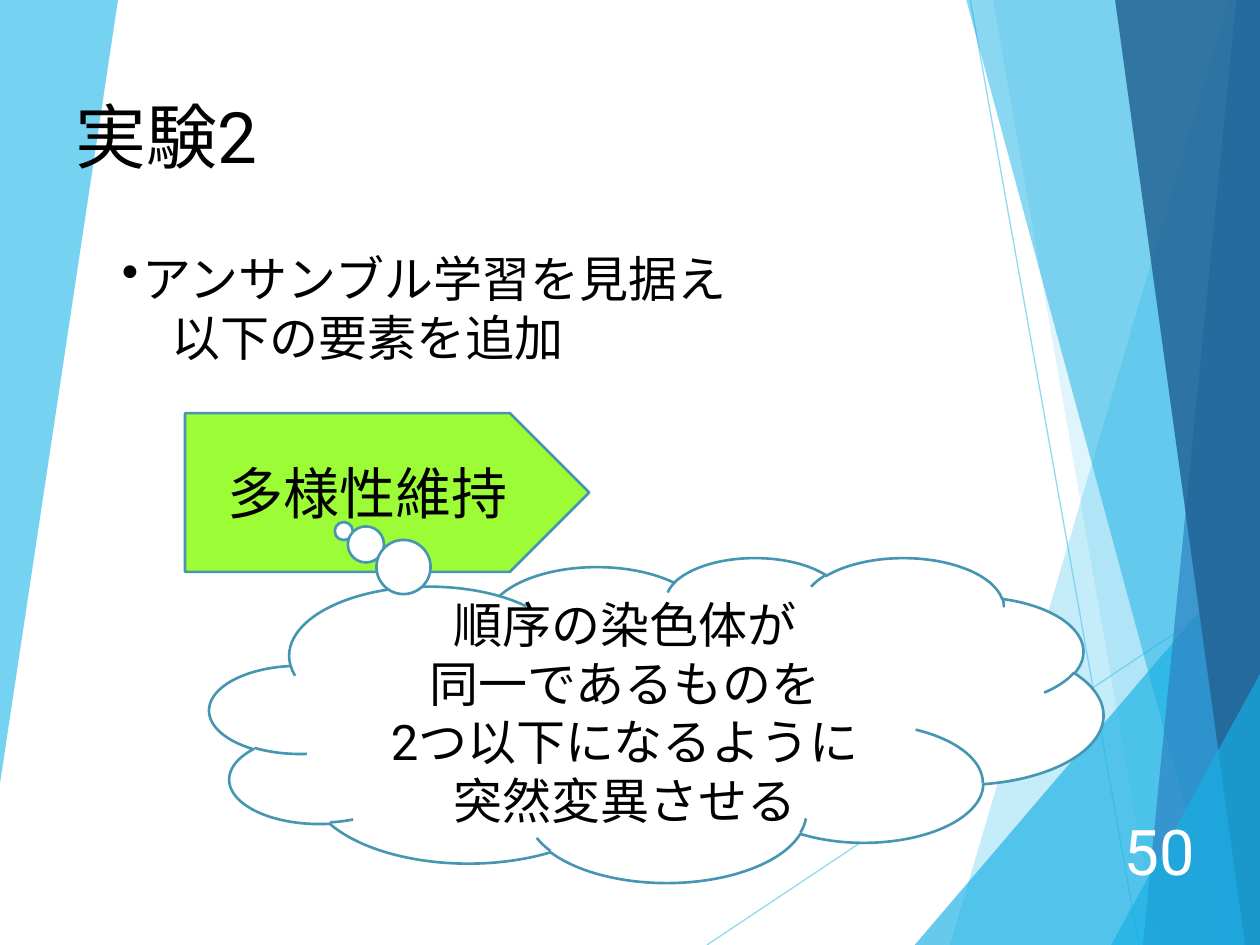
import dataclasses

import lxml.etree
import pptx
import pptx.dml.color
import pptx.enum.shapes
import pptx.enum.text
import pptx.oxml.ns
import pptx.util

Cm = pptx.util.Cm
qn = pptx.oxml.ns.qn
MIDDLE = pptx.enum.text.MSO_ANCHOR.MIDDLE
TOP = pptx.enum.text.MSO_ANCHOR.TOP
Align = pptx.enum.text.PP_ALIGN
Shape = pptx.enum.shapes.MSO_SHAPE


@dataclasses.dataclass(frozen=True)
class Theme:
    font: str = "Roboto"
    ink: str = "000000"
    white: str = "FFFFFF"
    green: str = "9CFC35"
    outline: str = "4696B1"
    sky: str = "5FCBEF"
    cyan: str = "17B0E4"
    blue: str = "2E83C3"
    navy: str = "226292"
    title: float = 40.5
    number: float = 36
    label: float = 32
    body: float = 28


THEME = Theme()


def rgb(value):
    return pptx.dml.color.RGBColor.from_string(value)


def paint(fill, colour, opacity=100):
    fill.solid()
    fill.fore_color.rgb = rgb(colour)
    if opacity < 100:
        element = fill._xPr.find(qn("a:solidFill")).find(qn("a:srgbClr"))
        lxml.etree.SubElement(element, qn("a:alpha"), val=str(opacity * 1000))


def write(shape, lines, size, colour=THEME.ink, alignment=Align.LEFT, anchor=TOP):
    """Write one paragraph per line and return the paragraphs."""
    frame = shape.text_frame
    frame.word_wrap = True
    frame.vertical_anchor = anchor
    frame.text = "\n".join(lines)
    text_format = {"name": THEME.font, "size": pptx.util.Pt(size)}
    for paragraph in frame.paragraphs:
        paragraph.alignment = alignment
        for run in paragraph.runs:
            for name, value in text_format.items():
                setattr(run.font, name, value)
            run.font.color.rgb = rgb(colour)
    return frame.paragraphs


def add_text(slide, box, lines, size, **options):
    shape = slide.shapes.add_textbox(*map(Cm, box))
    return write(shape, lines, size, **options)


def add_facet(slide, box, points, colour, opacity):
    left, top, _, _ = box
    corners = [(Cm(left + x), Cm(top + y)) for x, y in points]
    builder = slide.shapes.build_freeform(*corners[0])
    builder.add_line_segments(corners[1:], close=True)
    shape = builder.convert_to_shape()
    shape.shadow.inherit = False
    paint(shape.fill, colour, opacity)
    shape.line.fill.background()


def add_background(slide, box):
    left, top, width, height = box

    # Thin crossing lines
    for x1, y1, x2, y2 in ((14.25, height, width, 11.62), (19.56, 0, 22.96, height)):
        line = slide.shapes.add_connector(
            pptx.enum.shapes.MSO_CONNECTOR.STRAIGHT,
            Cm(left + x1), Cm(top + y1), Cm(left + x2), Cm(top + y2))
        line.line.width = pptx.util.Pt(0.75)
        paint(line.line.fill, THEME.sky, 70)
        lxml.etree.SubElement(line._element.spPr, qn("a:effectLst"))

    def band(top_x, bottom_x):
        return [(top_x, 0), (bottom_x, height), (width, height), (width, 0)]

    def wedge(bottom_x, right_y):
        return [(bottom_x, height), (width, right_y), (width, height)]

    # Translucent facets, back to front
    for points, colour, opacity in (
        (band(24.77, 19.15), THEME.sky, 36),
        (band(20.02, 23.34), THEME.sky, 20),
        (wedge(18.44, 10.9), THEME.cyan, 66),
        (band(19.48, 24.64), THEME.cyan, 50),
        (band(24.92, 23.04), THEME.blue, 70),
        (band(22.48, 25.1), THEME.navy, 82),
        (wedge(22.4, 13.59), THEME.cyan, 66),
        ([(0, 0), (2.38, 0), (0, 15.8)], THEME.sky, 85),
    ):
        add_facet(slide, box, points, colour, opacity)


def add_bullet_text(slide, box):
    first, second = add_text(
        slide, box, ["アンサンブル学習を見据え", "以下の要素を追加"], THEME.body)
    indents = {first: (0.42, -0.42), second: (1, 0)}
    for paragraph, (margin, indent) in indents.items():
        properties = paragraph._p.get_or_add_pPr()
        properties.set("marL", str(Cm(margin)))
        properties.set("indent", str(Cm(indent)))
    lxml.etree.SubElement(first._p.pPr, qn("a:buChar"), char="•")


def add_outlined(slide, kind, box, fill, lines, size):
    shape = slide.shapes.add_shape(kind, *map(Cm, box))
    shape.shadow.inherit = False
    paint(shape.fill, fill)
    paint(shape.line.fill, THEME.outline)
    shape.line.width = pptx.util.Pt(1.5)
    write(shape, lines, size, alignment=Align.CENTER, anchor=MIDDLE)
    return shape


def add_diversity(slide, box):
    left, top, width, height = box
    add_outlined(slide, Shape.PENTAGON, (left, top, 8.15, 3.2),
                 THEME.green, ["多様性維持"], THEME.label)
    # Thought cloud with its tail on the arrow
    cloud = add_outlined(
        slide, Shape.CLOUD_CALLOUT, (left + 0.5, top + 2.9, width - 0.5, height - 2.9),
        THEME.white,
        ["順序の染色体が", "同一であるものを", "2つ以下になるように", "突然変異させる"],
        THEME.body)
    cloud.adjustments[0] = -0.35
    cloud.adjustments[1] = -0.58


def main():
    presentation = pptx.Presentation()
    presentation.slide_width = Cm(25.4)
    presentation.slide_height = Cm(19.05)
    slide = presentation.slides.add_slide(presentation.slide_layouts[6])

    add_background(slide, (0, 0, 25.4, 19.05))
    add_text(slide, (22.2, 16.46, 2.13, 1.35), ["50"], THEME.number,
             colour=THEME.white, alignment=Align.RIGHT, anchor=MIDDLE)
    add_text(slide, (1.27, 1.75, 17.86, 1.98), ["実験2"], THEME.title)
    add_bullet_text(slide, (2.21, 4.88, 20.96, 2.64))
    add_diversity(slide, (3.73, 8.33, 18.51, 9.45))

    presentation.save("out.pptx")


if __name__ == "__main__":
    main()
